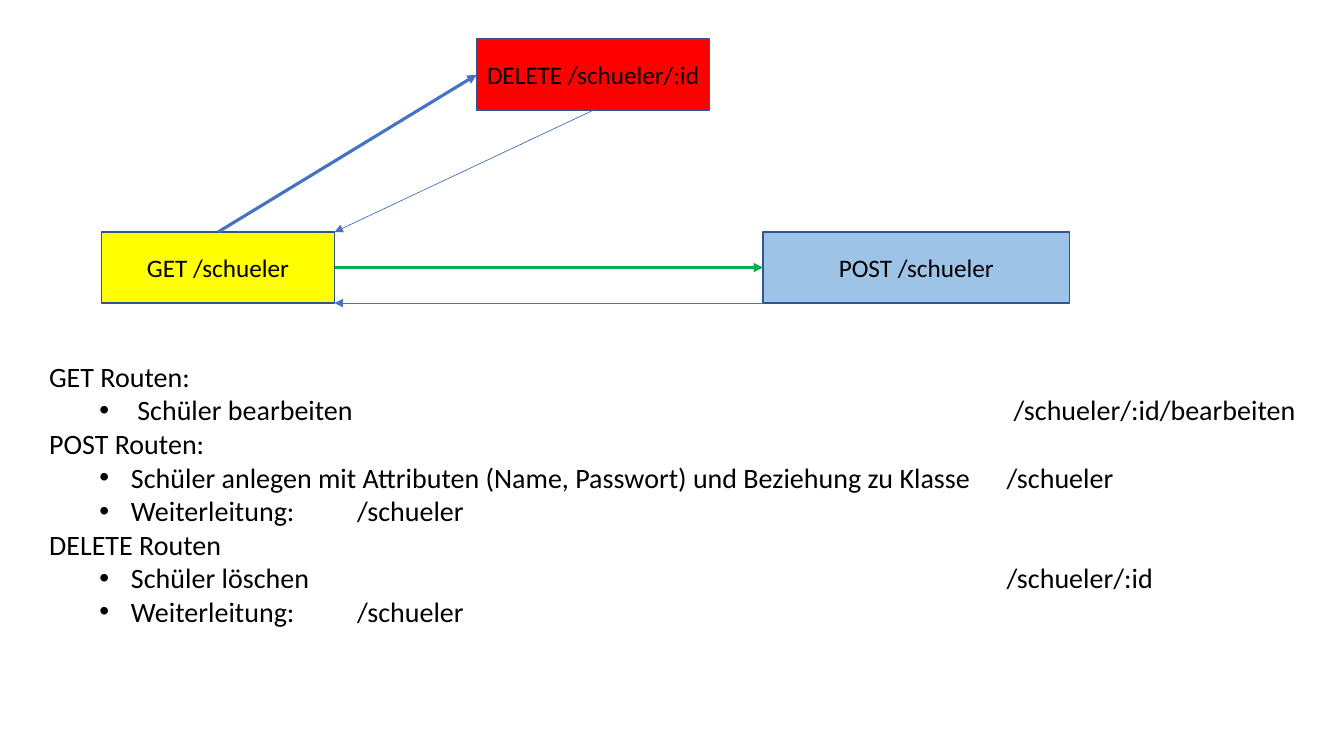
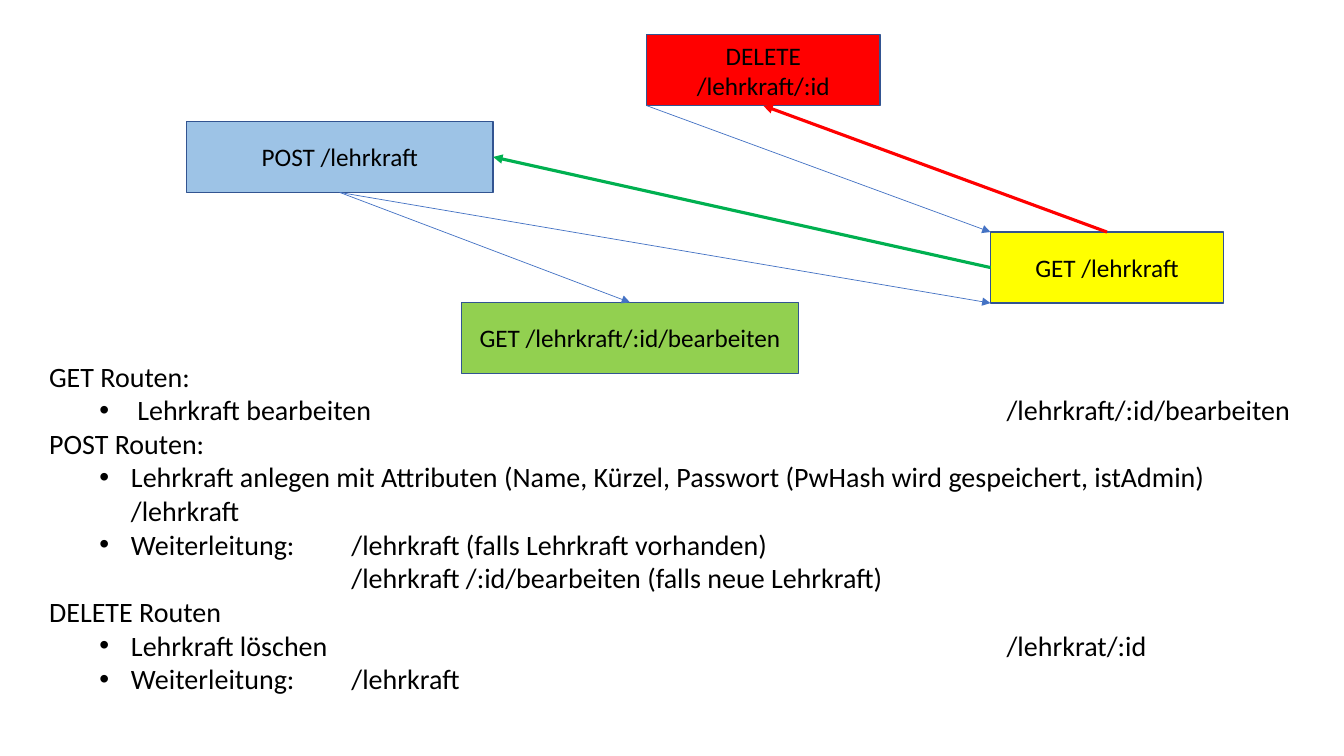
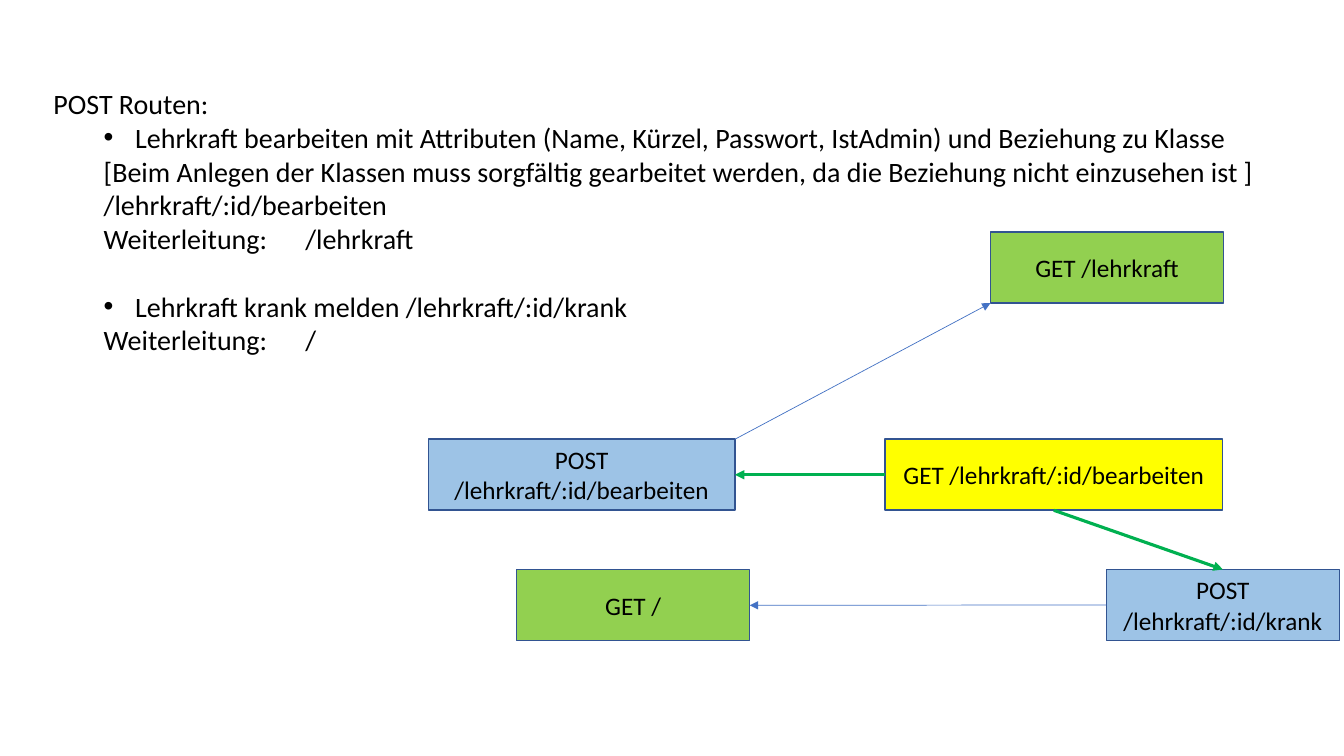
"""Build three slides that map the routes for pupils and teachers."""
import pptx
import pptx.dml.color
import pptx.enum.shapes
import pptx.enum.text
import pptx.oxml.ns
import pptx.util
from lxml import etree

Pt = pptx.util.Pt
RGB = pptx.dml.color.RGBColor
qn = pptx.oxml.ns.qn

BLACK = RGB(0x00, 0x00, 0x00)
OUTLINE = RGB(0x32, 0x54, 0x91)
YELLOW = RGB(0xFF, 0xFF, 0x00)
LIGHT_BLUE = RGB(0x9D, 0xC3, 0xE6)
RED = RGB(0xFF, 0x00, 0x00)
LIME = RGB(0x92, 0xD0, 0x50)
BLUE = RGB(0x44, 0x72, 0xC4)
GREEN = RGB(0x00, 0xB0, 0x50)

NARROW, MEDIUM, WIDE = 166.5, 219, 241
ROUTE_HEIGHT = 50.75
THICK, THIN = 2.25, 0.5
LINE_HEIGHT = 24.4
ROUTE_TAB = 684

TOP, BOTTOM, LEFT, RIGHT = (0.5, 0), (0.5, 1), (0, 0.5), (1, 0.5)
TOP_LEFT, TOP_RIGHT, BOTTOM_LEFT, BOTTOM_RIGHT = (0, 0), (1, 0), (0, 1), (1, 1)


class RouteDeck:
    """Hold the shared style and the current slide."""

    def __init__(self):
        self.deck = pptx.Presentation()
        self.deck.slide_width, self.deck.slide_height = Pt(960), Pt(540)
        self.slide = None

    def new_slide(self):
        self.slide = self.deck.slides.add_slide(self.deck.slide_layouts[6])

    def style(self, paragraph, size):
        paragraph.font.name = "Calibri"
        paragraph.font.size = Pt(size)
        paragraph.font.color.rgb = BLACK

    def route(self, label, left, top, width, fill):
        route = self.slide.shapes.add_shape(
            pptx.enum.shapes.MSO_SHAPE.RECTANGLE,
            Pt(left), Pt(top), Pt(width), Pt(ROUTE_HEIGHT))
        route.shadow.inherit = False
        route.fill.solid()
        route.fill.fore_color.rgb = fill
        route.line.color.rgb = OUTLINE
        route.line.width = Pt(1)
        frame = route.text_frame
        frame.word_wrap = True
        frame.vertical_anchor = pptx.enum.text.MSO_ANCHOR.MIDDLE
        paragraph = frame.paragraphs[0]
        paragraph.text = label
        paragraph.alignment = pptx.enum.text.PP_ALIGN.CENTER
        self.style(paragraph, 18)
        return route

    def arrow(self, source, start, target, end, color=BLUE, weight=THIN):
        points = [
            round(length)
            for route, (across, down) in ((source, start), (target, end))
            for length in (route.left + across * route.width,
                           route.top + down * route.height)]
        arrow = self.slide.shapes.add_connector(
            pptx.enum.shapes.MSO_CONNECTOR.STRAIGHT, *points)
        arrow.line.color.rgb = color
        arrow.line.width = Pt(weight)
        properties = arrow._element.spPr
        etree.SubElement(properties.find(qn("a:ln")), qn("a:tailEnd"), type="triangle")
        etree.SubElement(properties, qn("a:effectLst"))

    def notes(self, left, top, height, lines, top_inset=3.6):
        box = self.slide.shapes.add_textbox(Pt(left), Pt(top), Pt(919.5), Pt(height))
        frame = box.text_frame
        frame.word_wrap = True
        frame.auto_size = pptx.enum.text.MSO_AUTO_SIZE.SHAPE_TO_FIT_TEXT
        frame.margin_top = Pt(top_inset)
        for index, line in enumerate(lines):
            paragraph = frame.paragraphs[0] if index == 0 else frame.add_paragraph()
            self.note(paragraph, *line)

    def note(self, paragraph, text, indent=0, hanging=0, tab=None, before=0):
        paragraph.text = text
        properties = paragraph._p.get_or_add_pPr()
        if indent:
            paragraph.level = 1
            properties.set("marL", str(Pt(indent)))
            properties.set("indent", str(-Pt(hanging)))
        if hanging:
            etree.SubElement(properties, qn("a:buFont"), typeface="Arial")
            etree.SubElement(properties, qn("a:buChar"), char="•")
        if tab:
            stops = etree.SubElement(properties, qn("a:tabLst"))
            etree.SubElement(stops, qn("a:tab"), pos=str(Pt(tab)), algn="l")
        if before:
            paragraph.space_before = Pt(before)
        self.style(paragraph, 20)


def heading(text):
    return (text,)


def bullet(text, tab=None, indent=58.5, before=0):
    return (text, indent, indent - 36, tab, before)


def plain(text, indent=36):
    return (text, indent)


def pupils(deck):
    deck.new_slide()
    overview = deck.route("GET /schueler", 72.5, 165.75, NARROW, YELLOW)
    create = deck.route("POST /schueler", 545, 165.75, MEDIUM, LIGHT_BLUE)
    delete = deck.route("DELETE /schueler/:id", 340.5, 28, NARROW, RED)
    deck.notes(28, 253, 225.5, [
        heading("GET Routen:"),
        bullet("Schüler bearbeiten\t/schueler/:id/bearbeiten", 689, 63),
        heading("POST Routen:"),
        bullet("Schüler anlegen mit Attributen (Name, Passwort) und Beziehung "
               "zu Klasse\t/schueler", ROUTE_TAB),
        bullet("Weiterleitung:\t/schueler", 220),
        heading("DELETE Routen"),
        bullet("Schüler löschen\t/schueler/:id", ROUTE_TAB),
        bullet("Weiterleitung:\t/schueler", 220)])
    deck.arrow(overview, TOP, delete, LEFT, BLUE, THICK)
    deck.arrow(overview, RIGHT, create, LEFT, GREEN, THICK)
    deck.arrow(delete, BOTTOM, overview, TOP_RIGHT)
    deck.arrow(create, BOTTOM_LEFT, overview, BOTTOM_RIGHT)


def teachers(deck):
    deck.new_slide()
    overview = deck.route("GET /lehrkraft", 707.5, 165.75, NARROW, YELLOW)
    create = deck.route("POST /lehrkraft", 133.25, 86.75, MEDIUM, LIGHT_BLUE)
    delete = deck.route("DELETE /lehrkraft/:id", 462, 24.75, NARROW, RED)
    edit = deck.route("GET /lehrkraft/:id/bearbeiten", 329.5, 216, WIDE, LIME)
    deck.notes(28, 253, 273.5, [
        heading("GET Routen:"),
        bullet("Lehrkraft bearbeiten\t/lehrkraft/:id/bearbeiten", ROUTE_TAB, 63),
        heading("POST Routen:"),
        bullet("Lehrkraft anlegen mit Attributen (Name, Kürzel, Passwort "
               "(PwHash wird gespeichert, istAdmin)\v/lehrkraft"),
        bullet("Weiterleitung:\t/lehrkraft (falls Lehrkraft vorhanden)", 216),
        plain("/lehrkraft /:id/bearbeiten (falls neue Lehrkraft)", 216),
        heading("DELETE Routen"),
        bullet("Lehrkraft löschen\t/lehrkrat/:id", ROUTE_TAB),
        bullet("Weiterleitung:\t/lehrkraft", 216)])
    deck.arrow(overview, LEFT, create, RIGHT, GREEN, THICK)
    deck.arrow(overview, TOP, delete, BOTTOM, RED, THICK)
    deck.arrow(create, BOTTOM, overview, BOTTOM_LEFT)
    deck.arrow(delete, BOTTOM_LEFT, overview, TOP_LEFT)
    deck.arrow(create, BOTTOM, edit, TOP)


def teacher_changes(deck):
    deck.new_slide()
    edit = deck.route("GET /lehrkraft/:id/bearbeiten", 632.25, 313.75, WIDE, YELLOW)
    save = deck.route("POST /lehrkraft/:id/bearbeiten", 306, 313.75, MEDIUM, LIGHT_BLUE)
    sick = deck.route("POST /lehrkraft/:id/krank", 790.25, 406.75, NARROW, LIGHT_BLUE)
    overview = deck.route("GET /lehrkraft", 707.5, 165.75, NARROW, LIME)
    home = deck.route("GET /", 369, 407, NARROW, LIME)
    deck.notes(31, 34, 250, [
        heading("POST Routen:"),
        bullet("Lehrkraft bearbeiten mit Attributen (Name, Kürzel, Passwort, "
               "IstAdmin) und Beziehung zu Klasse"),
        plain("[Beim Anlegen der Klassen muss sorgfältig gearbeitet werden, "
              "da die Beziehung nicht einzusehen ist ]"),
        plain("/lehrkraft/:id/bearbeiten"),
        (("Weiterleitung:\t/lehrkraft", 36, 0, 166.5)),
        bullet("Lehrkraft krank melden /lehrkraft/:id/krank", before=LINE_HEIGHT),
        (("Weiterleitung:\t/", 36, 0, 166.5))],
        top_inset=3.6 + LINE_HEIGHT)
    deck.arrow(edit, LEFT, save, RIGHT, GREEN, THICK)
    deck.arrow(edit, BOTTOM, sick, TOP, GREEN, THICK)
    deck.arrow(save, TOP_RIGHT, overview, BOTTOM_LEFT)
    deck.arrow(sick, LEFT, home, RIGHT)


routes = RouteDeck()
pupils(routes)
teachers(routes)
teacher_changes(routes)
routes.deck.save("out.pptx")
